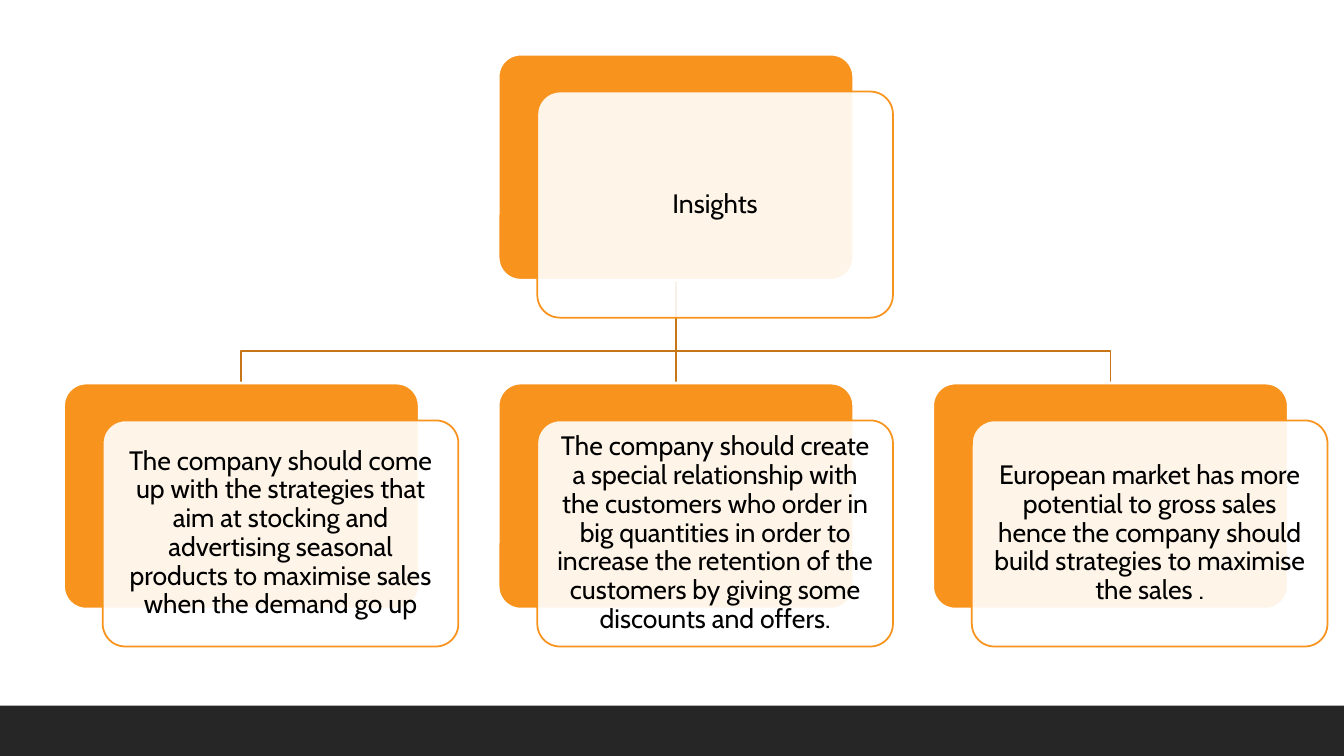
from lxml import etree
from pptx import Presentation
from pptx.dml.color import RGBColor
from pptx.enum import shapes, text
from pptx.oxml.ns import qn
from pptx.util import Pt

ORANGE = "F8931D"
BRANCH = "C77617"
WHITE = "FFFFFF"
CARD_WIDTH, CARD_HEIGHT = 254, 161.5
FIRST_LEFT, COLUMN_STEP = 45.4, 310.4
ROOT_TOP, CHILD_TOP, BEND_TOP = 38.7, 273.6, 250.6
SHIFT_X, SHIFT_Y = 28, 26.7

ROOT_TEXT = "Insights"
INSIGHTS = [
    "The company should come up with the strategies that aim at stocking and "
    "advertising seasonal products to maximise sales when the demand go up",
    "The company should create a special relationship with the customers who "
    "order in big quantities in order to increase the retention of the "
    "customers by giving some discounts and offers.",
    "European market has more potential to gross sales hence the company "
    "should build strategies to maximise the sales .",
]


def colour(value):
    return RGBColor.from_string(value)


def column_left(column):
    return FIRST_LEFT + column * COLUMN_STEP


def column_centre(column):
    return column_left(column) + CARD_WIDTH / 2


def set_line(shape, value, width):
    shape.line.color.rgb = colour(value)
    shape.line.width = Pt(width)


def add_footer_band(page):
    band = page.shapes.add_shape(
        shapes.MSO_SHAPE.RECTANGLE, Pt(0), Pt(504), Pt(960), Pt(36))
    band.shadow.inherit = False
    band.fill.solid()
    band.fill.fore_color.rgb = colour("262626")
    band.line.fill.background()


def add_elbow(page, start, end):
    builder = page.shapes.build_freeform(
        Pt(column_centre(start)), Pt(ROOT_TOP + CARD_HEIGHT))
    corners = [(start, BEND_TOP), (end, BEND_TOP), (end, CHILD_TOP)]
    builder.add_line_segments(
        [(Pt(column_centre(column)), Pt(top)) for column, top in corners],
        close=False)
    elbow = builder.convert_to_shape()
    elbow.shadow.inherit = False
    elbow.fill.background()
    set_line(elbow, BRANCH, 1.25)


def add_stem(page, column):
    centre = Pt(column_centre(column))
    stem = page.shapes.add_connector(
        shapes.MSO_CONNECTOR.STRAIGHT,
        centre, Pt(ROOT_TOP + CARD_HEIGHT), centre, Pt(CHILD_TOP))
    set_line(stem, BRANCH, 1.25)
    etree.SubElement(stem._element.spPr, qn("a:effectLst"))


def add_panel(page, left, top, fill, line, line_width):
    panel = page.shapes.add_shape(
        shapes.MSO_SHAPE.ROUNDED_RECTANGLE,
        Pt(left), Pt(top), Pt(CARD_WIDTH), Pt(CARD_HEIGHT))
    panel.adjustments[0] = 0.1
    panel.shadow.inherit = False
    panel.fill.solid()
    panel.fill.fore_color.rgb = colour(fill)
    set_line(panel, line, line_width)
    return panel


def set_opacity(shape, percent):
    solid = shape._element.spPr.find(qn("a:solidFill"))
    etree.SubElement(solid[0], qn("a:alpha"), val=str(percent * 1000))


def add_card(page, column, top, words):
    left = column_left(column)
    add_panel(page, left, top, ORANGE, WHITE, 2)
    front = add_panel(page, left + SHIFT_X, top + SHIFT_Y, WHITE, ORANGE, 1.25)
    set_opacity(front, 90)
    frame = front.text_frame
    frame.word_wrap = True
    frame.vertical_anchor = text.MSO_ANCHOR.MIDDLE
    frame.margin_left = frame.margin_right = Pt(5.7)
    frame.margin_top = frame.margin_bottom = Pt(5.7)
    frame.text = words
    para = frame.paragraphs[0]
    para.alignment = text.PP_ALIGN.CENTER
    para.line_spacing = 0.9
    span = para.runs[0]
    span.font.name = "Cabin"
    span.font.size = Pt(19)
    span.font.color.rgb = colour("000000")


def main():
    deck = Presentation()
    deck.slide_width, deck.slide_height = Pt(960), Pt(540)
    page = deck.slides.add_slide(deck.slide_layouts[6])
    add_footer_band(page)
    add_elbow(page, 1, 2)
    add_stem(page, 1)
    add_elbow(page, 1, 0)
    add_card(page, 1, ROOT_TOP, ROOT_TEXT)
    for column, words in enumerate(INSIGHTS):
        add_card(page, column, CHILD_TOP, words)
    deck.save("out.pptx")


if __name__ == "__main__":
    main()
